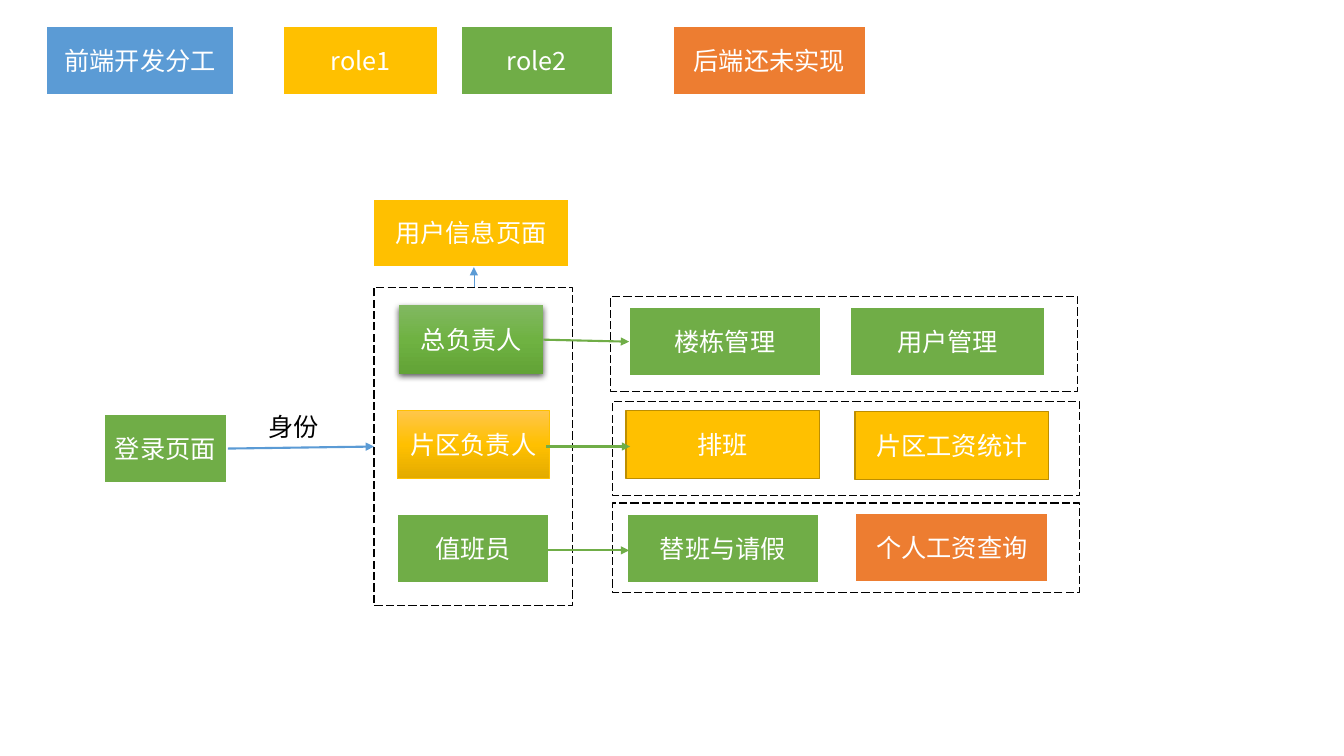
from lxml.etree import SubElement
from copy import deepcopy
from pptx import Presentation
from pptx.dml.color import RGBColor
from pptx.enum.dml import MSO_LINE
from pptx.enum.shapes import MSO_CONNECTOR, MSO_SHAPE
from pptx.enum.text import MSO_ANCHOR, MSO_AUTO_SIZE, PP_ALIGN
from pptx.oxml.ns import qn
from pptx.util import Emu, Pt

PX = 9144
FONT = "Noto Sans CJK SC"
BOX_HEIGHT = 68
COLORS = {
    "white": "FFFFFF",
    "black": "000000",
    "blue": "5B9BD5",
    "yellow": "FFC000",
    "dark_yellow": "BD8E00",
    "green": "70AD47",
    "orange": "ED7D31",
}
GRADIENTS = {
    "green": ["81B861", "6FB242", "62A336"],
    "yellow": ["FFC64B", "FFC000", "E3AB00"],
}
BOX_FORMAT = {"word_wrap": True, "vertical_anchor": MSO_ANCHOR.MIDDLE}
LABEL_FORMAT = {"word_wrap": False, "auto_size": MSO_AUTO_SIZE.SHAPE_TO_FIT_TEXT}
FONT_FORMAT = {"name": FONT, "size": Pt(18)}

BOXES = [
    ("前端开发分工", 46, 26, 186, "blue"),
    ("role1", 281, 26, 154, "yellow"),
    ("role2", 457, 26, 151, "green"),
    ("后端还未实现", 667, 26, 192, "orange"),
    ("登录页面", 103, 411, 122, "green"),
    ("用户信息页面", 370, 197, 194, "yellow"),
    ("值班员", 394, 510, 151, "green"),
    ("楼栋管理", 624, 305, 190, "green"),
    ("用户管理", 843, 305, 194, "green"),
    ("替班与请假", 622, 510, 190, "green"),
    ("个人工资查询", 848, 509, 192, "orange"),
]
OUTLINED_BOXES = [
    ("排班", 621, 407, 192, "yellow"),
    ("片区工资统计", 848, 408, 192, "yellow"),
]
FRAMES = [
    (371, 285, 197, 316),
    (606, 294, 463, 94),
    (608, 398, 463, 94),
    (608, 499, 463, 89),
]
ARROWS = [
    (226, 445, 371, 443, "blue", 1.5),
    (539, 337, 624, 339, "green", 1.5),
    (542, 443, 625, 443, "green", 1.5),
    (541, 546, 624, 546, "green", 1.5),
    (470, 285, 470, 265, "blue", 0.5),
]


def px(*lengths):
    return [Emu(length * PX) for length in lengths]


def rgb(name):
    return RGBColor.from_string(COLORS[name])


def apply_format(target, values):
    for name, value in values.items():
        setattr(target, name, value)


def set_line(line, color, width):
    line.color.rgb = rgb(color)
    line.width = Pt(width)


def write_text(shape, text, color, frame_format, alignment):
    apply_format(shape.text_frame, frame_format)
    paragraph = shape.text_frame.paragraphs[0]
    paragraph.alignment = alignment
    run = paragraph.add_run()
    run.text = text
    apply_format(run.font, FONT_FORMAT)
    run.font.color.rgb = rgb(color)
    SubElement(run.font._element, qn("a:ea"), typeface=FONT)


def add_rectangle(slide, left, top, width, height):
    shape = slide.shapes.add_shape(MSO_SHAPE.RECTANGLE, *px(left, top, width, height))
    shape.shadow.inherit = False
    return shape


def add_box(slide, text, left, top, width, fill, line="white", line_width=1.5):
    shape = add_rectangle(slide, left, top, width, BOX_HEIGHT)
    shape.fill.solid()
    shape.fill.fore_color.rgb = rgb(fill)
    set_line(shape.line, line, line_width)
    write_text(shape, text, "white", BOX_FORMAT, PP_ALIGN.CENTER)
    return shape


def set_gradient(shape, colors):
    shape.fill.gradient()
    shape.fill.gradient_angle = 270
    stop_list = shape._element.spPr.find(".//" + qn("a:gsLst"))
    stop_list.insert(1, deepcopy(stop_list[0]))
    for index, (stop, color) in enumerate(zip(shape.fill.gradient_stops, colors)):
        stop.position = index / 2
        stop.color.rgb = RGBColor.from_string(color)


def add_shadow(shape):
    effects = shape._element.spPr.find(qn("a:effectLst"))
    shadow = SubElement(effects, qn("a:outerShdw"), blurRad=str(Pt(4.5)),
                        dist=str(Pt(1.5)), dir="5400000", algn="ctr", rotWithShape="0")
    color = SubElement(shadow, qn("a:srgbClr"), val=COLORS["black"])
    SubElement(color, qn("a:alpha"), val="63000")


def add_frame(slide, left, top, width, height):
    shape = add_rectangle(slide, left, top, width, height)
    shape.fill.background()
    set_line(shape.line, "black", 0.75)
    shape.line.dash_style = MSO_LINE.LONG_DASH


def add_arrow(slide, x1, y1, x2, y2, color, width):
    arrow = slide.shapes.add_connector(MSO_CONNECTOR.STRAIGHT, *px(x1, y1, x2, y2))
    set_line(arrow.line, color, width)
    SubElement(arrow.line._get_or_add_ln(), qn("a:tailEnd"), type="triangle")
    SubElement(arrow._element.spPr, qn("a:effectLst"))


def add_label(slide, text, left, top, width, height):
    label = slide.shapes.add_textbox(*px(left, top, width, height))
    write_text(label, text, "black", LABEL_FORMAT, PP_ALIGN.LEFT)


def main():
    presentation = Presentation()
    presentation.slide_width, presentation.slide_height = px(1333, 750)
    slide = presentation.slides.add_slide(presentation.slide_layouts[6])

    for box in BOXES:
        add_box(slide, *box)
    for box in OUTLINED_BOXES:
        add_box(slide, *box, line="dark_yellow", line_width=1)

    chief = add_box(slide, "总负责人", 396, 303, 143, "green")
    set_gradient(chief, GRADIENTS["green"])
    chief.line.fill.background()
    add_shadow(chief)
    area_manager = add_box(slide, "片区负责人", 394, 407, 151, "yellow", "yellow", 0.5)
    set_gradient(area_manager, GRADIENTS["yellow"])

    for frame in FRAMES:
        add_frame(slide, *frame)
    for arrow in ARROWS:
        add_arrow(slide, *arrow)
    add_label(slide, "身份", 256, 403, 71, 40)

    presentation.save("out.pptx")


if __name__ == "__main__":
    main()
